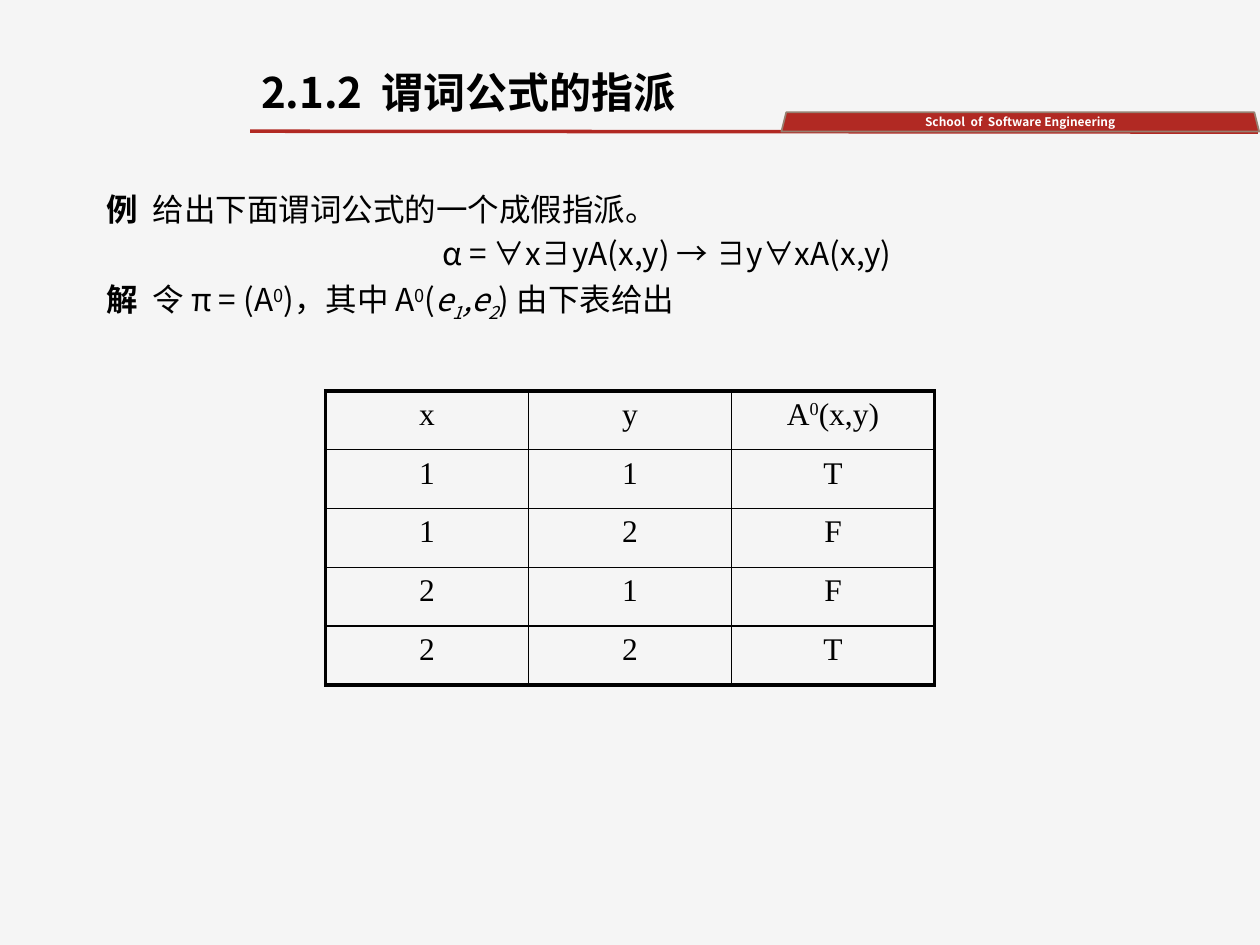
"""Build the slide on assignments of predicate formulas."""
from dataclasses import dataclass
from lxml import etree
from pptx import Presentation
from pptx.dml.color import RGBColor as RGB
from pptx.enum.shapes import MSO_CONNECTOR as CONN, MSO_SHAPE as SHAPE
from pptx.enum.text import MSO_ANCHOR as ANCHOR, MSO_AUTO_SIZE as AUTO, PP_ALIGN as ALIGN
from pptx.oxml.ns import qn
from pptx.util import Pt


@dataclass(frozen=True)
class Theme:
    paper: RGB = RGB.from_string("F5F5F5")
    red: RGB = RGB.from_string("B12923")
    edge: RGB = RGB.from_string("968071")
    ink: RGB = RGB.from_string("000000")
    white: RGB = RGB.from_string("FFFFFF")
    sans: str = "Noto Sans CJK SC"
    serif: str = "Times New Roman"
    title: float = 24
    body: float = 18
    banner: float = 6.8


T = Theme()


def add_run(p, text, size, font=T.sans, color=T.ink, bold=False, italic=False, base=0):
    r = p.add_run()
    r.text = text
    values = {"name": font, "size": Pt(size), "bold": bold, "italic": italic}
    for key, value in values.items():
        setattr(r.font, key, value)
    r.font.color.rgb = color
    rPr = r._r.get_or_add_rPr()
    etree.SubElement(rPr, qn("a:ea")).set("typeface", font)
    if base:
        rPr.set("baseline", str(base * 1000))


def set_border(cell, side, width):
    ln = etree.SubElement(cell._tc.get_or_add_tcPr(), qn(f"a:ln{side}"), w=str(Pt(width)))
    fill = etree.SubElement(ln, qn("a:solidFill"))
    etree.SubElement(fill, qn("a:srgbClr"), val=str(T.ink))


prs = Presentation()
prs.slide_width, prs.slide_height = Pt(720), Pt(540)
s = prs.slides.add_slide(prs.slide_layouts[5])
s.background.fill.solid()
s.background.fill.fore_color.rgb = T.paper

rule = s.shapes.add_connector(CONN.STRAIGHT, Pt(143), Pt(75), Pt(718.8), Pt(75.5))
rule.line.color.rgb = T.red
rule.line.width = Pt(2)
etree.SubElement(rule._element.spPr, qn("a:effectLst"))

banner = s.shapes.add_shape(SHAPE.TRAPEZOID, Pt(446.5), Pt(64.2), Pt(273), Pt(11))
banner.shadow.inherit = False
banner.fill.solid()
banner.fill.fore_color.rgb = T.red
banner.line.color.rgb = T.edge
banner.line.width = Pt(1)
tf = banner.text_frame
for side in ("left", "top", "right", "bottom"):
    setattr(tf, f"margin_{side}", 0)
tf.vertical_anchor = ANCHOR.MIDDLE
p = tf.paragraphs[0]
p.alignment = ALIGN.CENTER
add_run(p, "School  of  Software Engineering", T.banner, color=T.white, bold=True)

title = s.shapes.title
place = {"left": 142, "top": 34.6, "width": 327.6, "height": 40.3}
for key, value in place.items():
    setattr(title, key, Pt(value))
tf = title.text_frame
tf.auto_size = AUTO.NONE
tf.vertical_anchor = ANCHOR.TOP
p = tf.paragraphs[0]
p.alignment = ALIGN.LEFT
add_run(p, "2.1.2  谓词公式的指派", T.title, bold=True)

SUP, SUB = {"base": 30}, {"base": -25, "italic": True}
BOLD, ITALIC = {"bold": True}, {"italic": True}
lines = [
    (ALIGN.LEFT, [("例  ", BOLD), ("给出下面谓词公式的一个成假指派。", {})]),
    (ALIGN.CENTER, [("α = ∀x∃yA(x,y) → ∃y∀xA(x,y)", {})]),
    (ALIGN.LEFT, [("解  ", BOLD), ("令 π = (A", {}), ("0", SUP), (")，其中 A", {}),
                  ("0", SUP), ("(", {}), ("e", ITALIC), ("1", SUB), (",e", ITALIC),
                  ("2", SUB), (") 由下表给出", {})]),
]
tf = s.shapes.add_textbox(Pt(54), Pt(109.4), Pt(642.2), Pt(375)).text_frame
tf.word_wrap = True
for i, (align, runs) in enumerate(lines):
    p = tf.add_paragraph() if i else tf.paragraphs[0]
    p.alignment = align
    p.line_spacing = 0.8
    p.space_before = Pt(7.5 if i else 0)
    if align == ALIGN.CENTER:
        p._p.get_or_add_pPr().set("marL", str(Pt(12)))
    for text, style in runs:
        add_run(p, text, T.body, **style)

rows = [
    ["x", "y", "A0(x,y)"],
    ["1", "1", "T"],
    ["1", "2", "F"],
    ["2", "1", "F"],
    ["2", "2", "T"],
]
n_rows, n_cols = len(rows), len(rows[0])
table = s.shapes.add_table(n_rows, n_cols, Pt(186), Pt(223.4), Pt(348), Pt(168)).table
table.first_row = table.horz_banding = False
for i, row in enumerate(rows):
    for j, text in enumerate(row):
        cell = table.cell(i, j)
        outer = {"L": j == 0, "R": j == n_cols - 1, "T": i == 0, "B": i == n_rows - 1}
        for side, is_outer in outer.items():
            set_border(cell, side, 2.25 if is_outer else 1)
        cell.fill.background()
        p = cell.text_frame.paragraphs[0]
        p.alignment = ALIGN.CENTER
        head, zero, tail = text.partition("0")
        for part, base in ((head, 0), (zero, 30), (tail, 0)):
            if part:
                add_run(p, part, T.body, T.serif, base=base)

prs.save("out.pptx")
